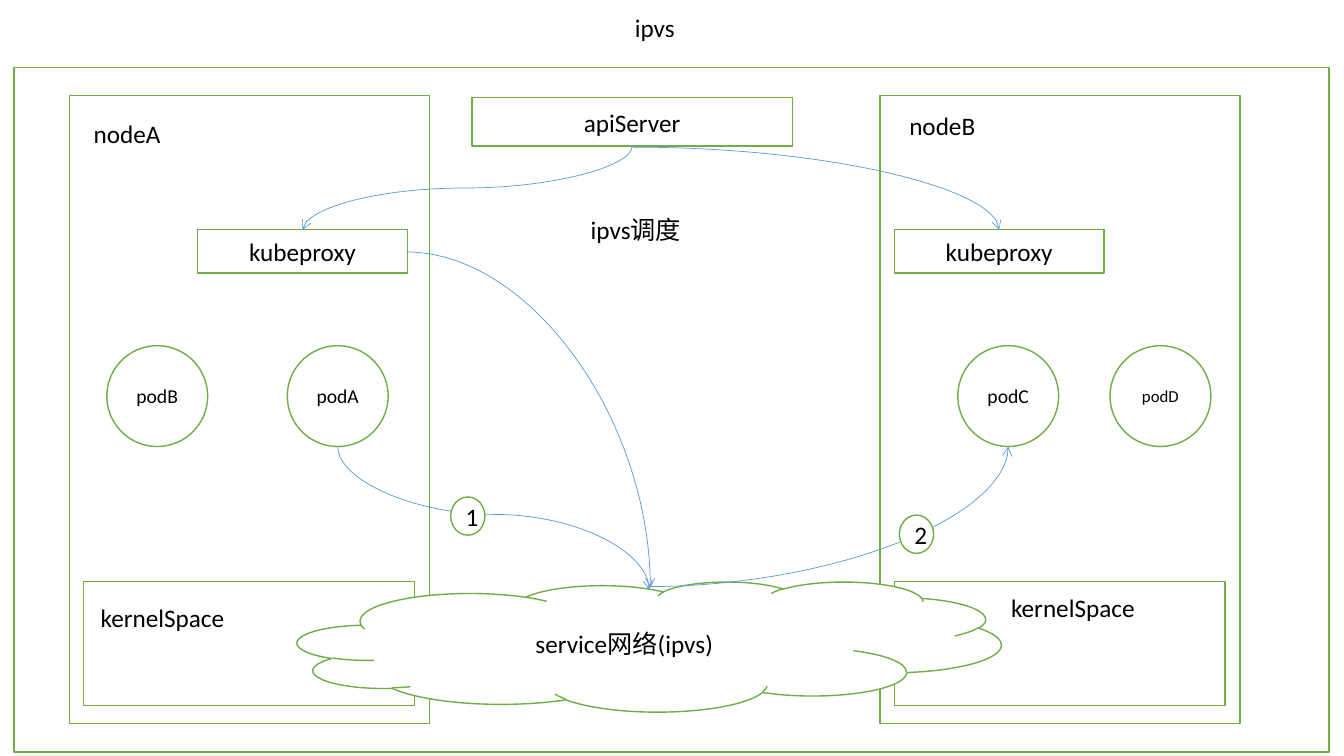
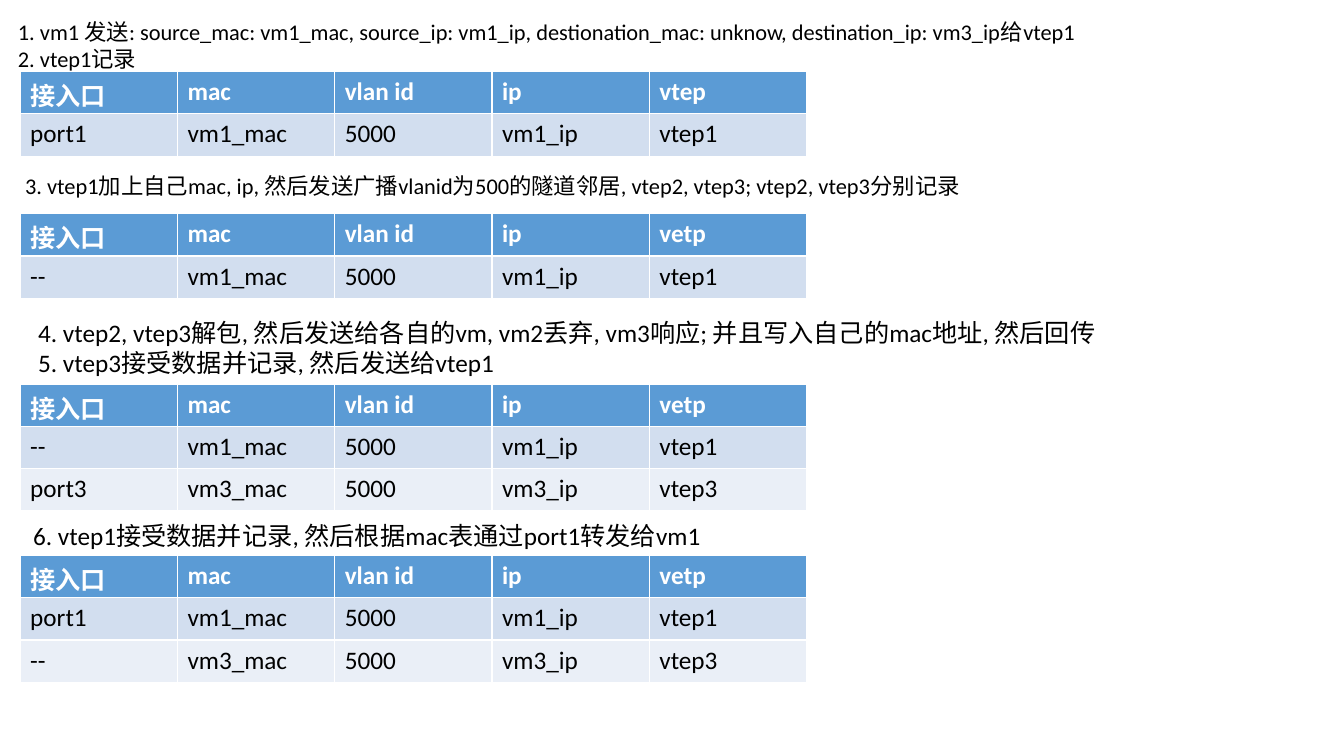
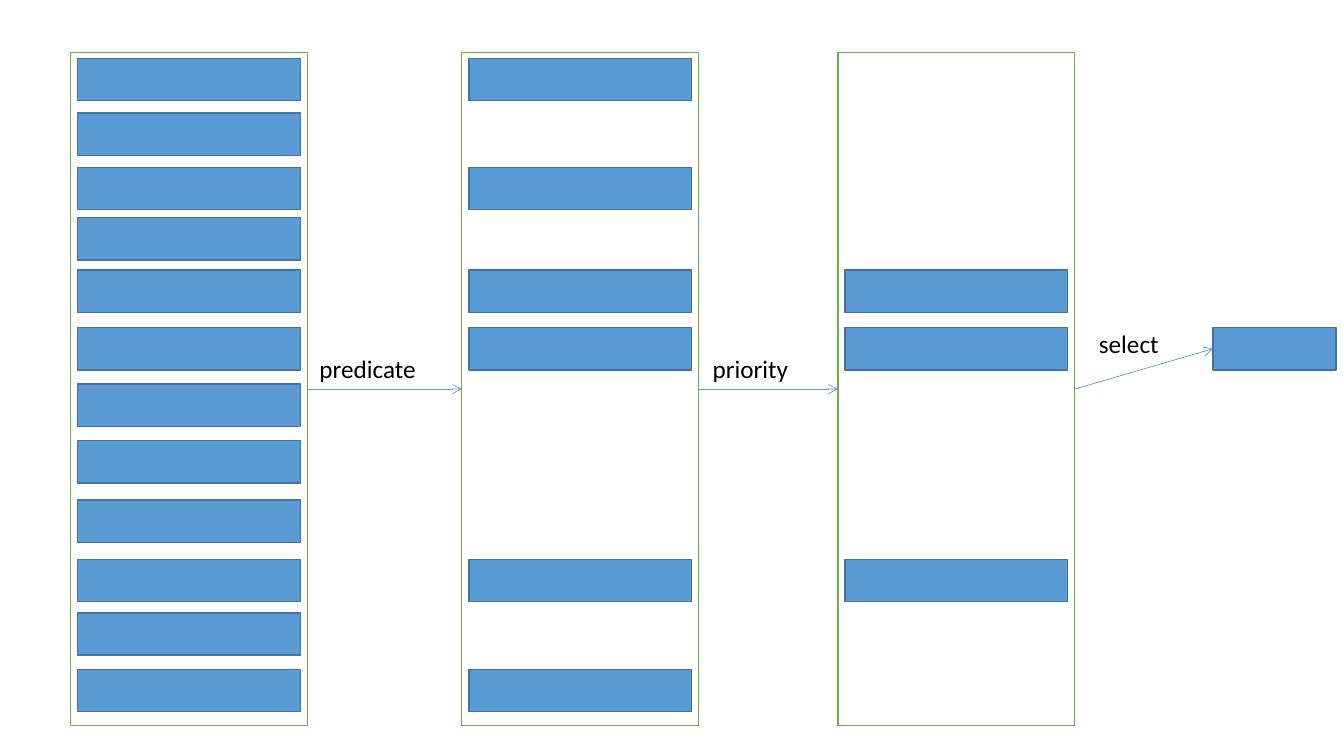
"""Build three slides: the ipvs layout, the vtep tables and the scheduler steps."""
from lxml.etree import SubElement
from pptx import Presentation
from pptx.dml.color import RGBColor
from pptx.enum.shapes import MSO_CONNECTOR as Link, MSO_SHAPE as Kind
from pptx.enum.text import MSO_ANCHOR as Anchor, PP_ALIGN as Align
from pptx.oxml.ns import qn
from pptx.util import Inches, Pt

FONT = "Calibri"
BLACK, WHITE, GREEN = "000000", "FFFFFF", "70AD47"
BLUE, NAVY = "5B9BD5", "43739E"
BANDS = ["D2DEEF", "EAEFF7"]

FRAMES = [(0.14, 0.67, 13.04, 6.79), (0.69, 0.95, 3.57, 6.23), (8.73, 0.95, 3.57, 6.23),
          (0.83, 5.77, 3.28, 1.23), (8.87, 5.77, 3.28, 1.23)]
NOTES = [
    ("nodeA", 0.83, 1.12, 1),
    ("nodeB", 8.92, 1.05, 1.1),
    ("kernelSpace", 0.9, 5.93, 2.14),
    ("kernelSpace", 9.93, 5.83, 2.14),
    ("ipvs调度", 5.76, 2.08, 2.63),
]
PODS = [("podB", 1.06, 14), ("podA", 2.85, 14), ("podC", 9.5, 14), ("podD", 11.01, 12)]
PARTS = [
    (Kind.CLOUD, "service网络(ipvs)", (2.95, 5.77, 6.98, 1.29)),
    (Kind.RECTANGLE, "apiServer", (4.68, 0.97, 3.18, 0.48)),
    (Kind.RECTANGLE, "kubeproxy", (1.96, 2.28, 2.08, 0.43)),
    (Kind.RECTANGLE, "kubeproxy", (8.87, 2.28, 2.08, 0.43)),
]
BENDS = [((6.41, 5.82), (10, 4.43)), ((6.28, 1.46), (9.91, 2.28)), ((4.03, 2.5), (6.45, 5.83))]
WAVES = [((3.35, 4.43), (6.44, 5.85), 47400), ((6.27, 1.45), (3, 2.28), 50000)]
STEPS = [("1", 4.47, 4.93), ("2", 8.92, 5.11)]

TEXTS = [
    (0.08, 0.13, 13.03, 0.84, 16, [
        "1. vm1 发送: source_mac: vm1_mac, source_ip: vm1_ip, "
        "destionation_mac: unknow, destination_ip: vm3_ip给vtep1",
        "2. vtep1记录"]),
    (0.15, 1.66, 13.08, 0.37, 16, [
        "3. vtep1加上自己mac, ip, 然后发送广播vlanid为500的隧道邻居, "
        "vtep2, vtep3; vtep2, vtep3分别记录"]),
    (0.28, 3.1, 12.82, 0.71, 18, [
        "4. vtep2, vtep3解包, 然后发送给各自的vm, vm2丢弃, vm3响应; "
        "并且写入自己的mac地址, 然后回传",
        "5. vtep3接受数据并记录, 然后发送给vtep1"]),
    (0.23, 5.11, 12.83, 0.4, 18, ["6. vtep1接受数据并记录, 然后根据mac表通过port1转发给vm1"]),
]
HEADS = ["接入口", "mac", "vlan id", "ip"]
VM1 = ["vm1_mac", "5000", "vm1_ip", "vtep1"]
VM3 = ["vm3_mac", "5000", "vm3_ip", "vtep3"]
TABLES = [
    (0.71, "vtep", [["port1", *VM1]]),
    (2.12, "vetp", [["--", *VM1]]),
    (3.81, "vetp", [["--", *VM1], ["port3", *VM3]]),
    (5.51, "vetp", [["port1", *VM1], ["--", *VM3]]),
]
COL, ROW = 1.56, 0.42

TOPS = [0.58, 1.12, 1.66, 2.16, 2.68, 3.25, 3.81, 4.37, 4.96, 5.55, 6.08, 6.64]
STAGES = [(0.7, range(len(TOPS))), (4.58, [0, 2, 4, 5, 9, 11]), (8.31, [4, 5, 9])]
WORDS = [("predicate", 3.07, 3.46, 1.44), ("priority", 6.97, 3.46, 1.3), ("select", 10.8, 3.21, 1.09)]
BAR, PAD = (2.21, 0.42), 0.07


def color(code):
    """Turn a hex string into a colour."""
    return RGBColor.from_string(code)


def place(box):
    """Turn numbers into lengths in inches."""
    return [Inches(n) for n in box]


def style(para, size=18, ink=BLACK, bold=False, align=None):
    """Format one paragraph and its runs."""
    para.alignment = align
    for run in para.runs:
        font = run.font
        font.name, font.size, font.bold = FONT, Pt(size), bold
        font.color.rgb = color(ink)


def draw(slide, kind, box, text="", size=18, fill=WHITE, edge=GREEN):
    """Add a preset shape with centred text."""
    shape = slide.shapes.add_shape(kind, *place(box))
    shape.shadow.inherit = False
    shape.fill.solid()
    shape.fill.fore_color.rgb = color(fill)
    shape.line.color.rgb = color(edge)
    shape.line.width = Pt(1)
    if text:
        frame = shape.text_frame
        frame.text = text
        frame.vertical_anchor = Anchor.MIDDLE
        style(frame.paragraphs[0], size, align=Align.CENTER)
    return shape


def write(slide, lines, box, size=18):
    """Add a text box, one paragraph a line."""
    frame = slide.shapes.add_textbox(*place(box)).text_frame
    frame.word_wrap = True
    frame.text = "\n".join(lines)
    for para in frame.paragraphs:
        style(para, size)


def link(slide, kind, start, end):
    """Add a thin line with an open arrowhead at its end."""
    line = slide.shapes.add_connector(kind, *place((*start, *end)))
    line.line.color.rgb = color(BLUE)
    line.line.width = Pt(0.5)
    props = line._element.spPr
    SubElement(props.find(qn("a:ln")), qn("a:tailEnd"), type="arrow")
    SubElement(props, qn("a:effectLst"))
    return line


def bend(slide, start, end):
    """Add a quarter curve that leaves sideways and arrives upright."""
    props = link(slide, Link.CURVE, start, end)._element.spPr
    props.find(qn("a:prstGeom")).set("prst", "curvedConnector2")


def wave(slide, start, end, turn):
    """Add an S curve that leaves and arrives upright, as a level one turned by 90 degrees."""
    (x1, y1), (x2, y2) = start, end
    midx, midy = (x1 + x2) / 2, (y1 + y2) / 2
    dx, dy = (x2 - x1) / 2, (y2 - y1) / 2
    props = link(slide, Link.CURVE, (midx - dy, midy + dx), (midx + dy, midy - dx))._element.spPr
    props.find(qn("a:xfrm")).set("rot", str(90 * 60000))
    guides = props.find(qn("a:prstGeom")).find(qn("a:avLst"))
    SubElement(guides, qn("a:gd"), name="adj1", fmla=f"val {turn}")


def grid(slide, top, rows):
    """Add a table with a blue head and banded rows."""
    wide = len(rows[0])
    box = (0.2, top, COL * wide, ROW * len(rows))
    table = slide.shapes.add_table(len(rows), wide, *place(box)).table
    for r, row in enumerate(rows):
        for c, text in enumerate(row):
            cell = table.cell(r, c)
            cell.fill.solid()
            cell.fill.fore_color.rgb = color(BANDS[(r - 1) % 2] if r else BLUE)
            cell.text_frame.text = text
            style(cell.text_frame.paragraphs[0], ink=BLACK if r else WHITE, bold=not r)


def show_net(slide):
    """Fill the ipvs slide."""
    title = slide.shapes.title
    title.left, title.top, title.width, title.height = place((4.26, 0.07, 4.47, 0.4))
    title.text_frame.text = "ipvs"
    title.text_frame.vertical_anchor = Anchor.TOP
    style(title.text_frame.paragraphs[0], align=Align.CENTER)
    for box in FRAMES:
        draw(slide, Kind.RECTANGLE, box)
    for text, left, top, width in NOTES:
        write(slide, [text], (left, top, width, 0.4))
    for text, left, size in PODS:
        draw(slide, Kind.OVAL, (left, 3.43, 1, 1), text, size)
    for kind, text, box in PARTS:
        draw(slide, kind, box, text)
    for ends in BENDS:
        bend(slide, *ends)
    for args in WAVES:
        wave(slide, *args)
    for text, left, top in STEPS:
        draw(slide, Kind.OVAL, (left, top, 0.34, 0.38), text)


def show_log(slide):
    """Fill the slide of steps and tables."""
    for *box, size, lines in TEXTS:
        write(slide, lines, box, size)
    for top, last, rows in TABLES:
        grid(slide, top, [[*HEADS, last], *rows])


def show_pick(slide):
    """Fill the slide of scheduler stages."""
    stops = []
    for left, picks in STAGES:
        stops.append(draw(slide, Kind.RECTANGLE, (left, 0.52, 2.35, 6.68)))
        for i in picks:
            draw(slide, Kind.RECTANGLE, (left + PAD, TOPS[i], *BAR), fill=BLUE, edge=NAVY)
    stops.append(draw(slide, Kind.RECTANGLE, (12.03, TOPS[5], 1.22, BAR[1]), fill=BLUE, edge=NAVY))
    for here, there in zip(stops, stops[1:]):
        line = link(slide, Link.STRAIGHT, (0, 0), (1, 1))
        line.begin_connect(here, 3)
        line.end_connect(there, 1)
    for text, left, top, width in WORDS:
        write(slide, [text], (left, top, width, 0.4))


def main():
    """Build and save the deck."""
    deck = Presentation()
    deck.slide_width, deck.slide_height = Inches(13.33), Inches(7.5)
    for show, layout in [(show_net, 5), (show_log, 6), (show_pick, 6)]:
        show(deck.slides.add_slide(deck.slide_layouts[layout]))
    deck.save("out.pptx")


if __name__ == "__main__":
    main()
